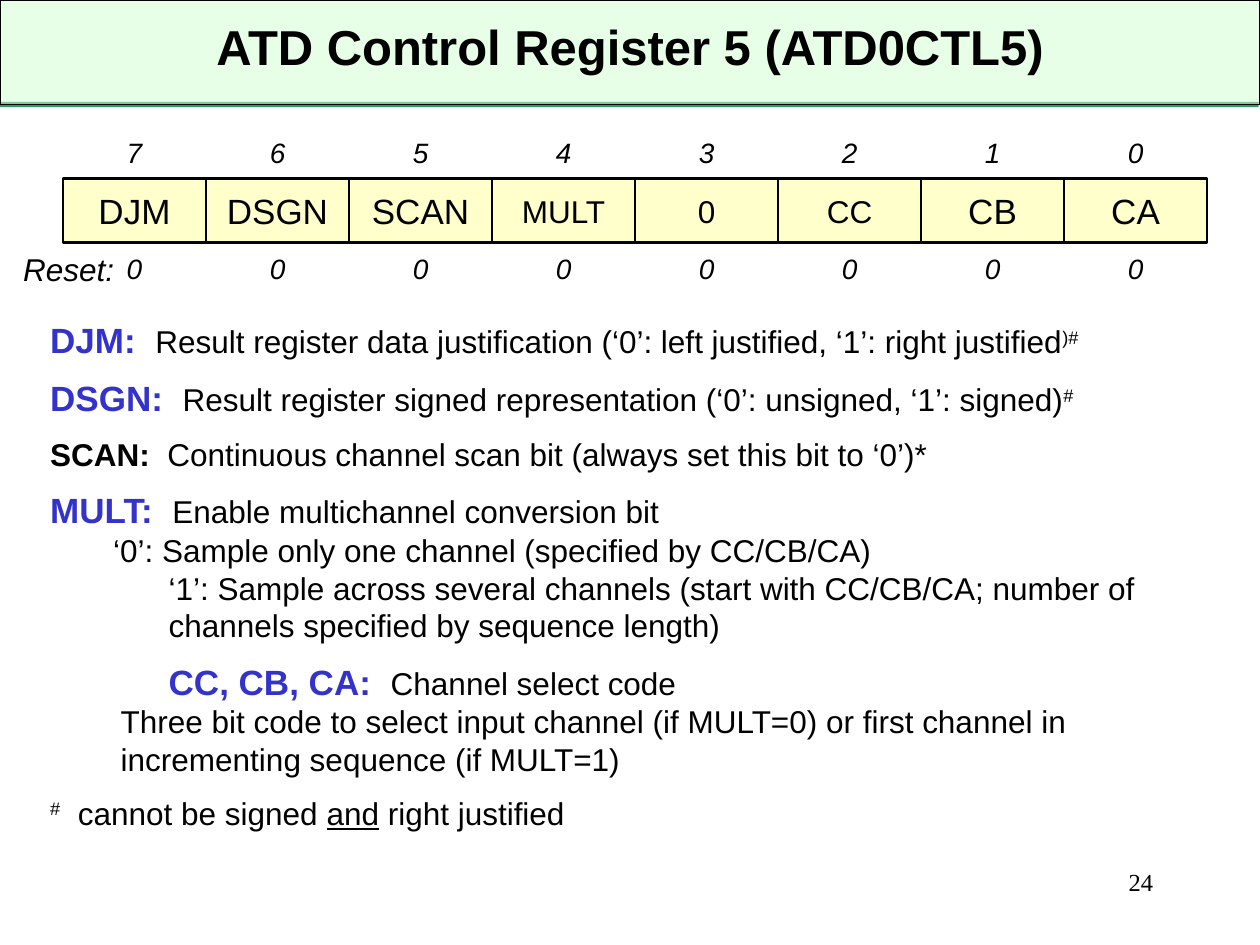
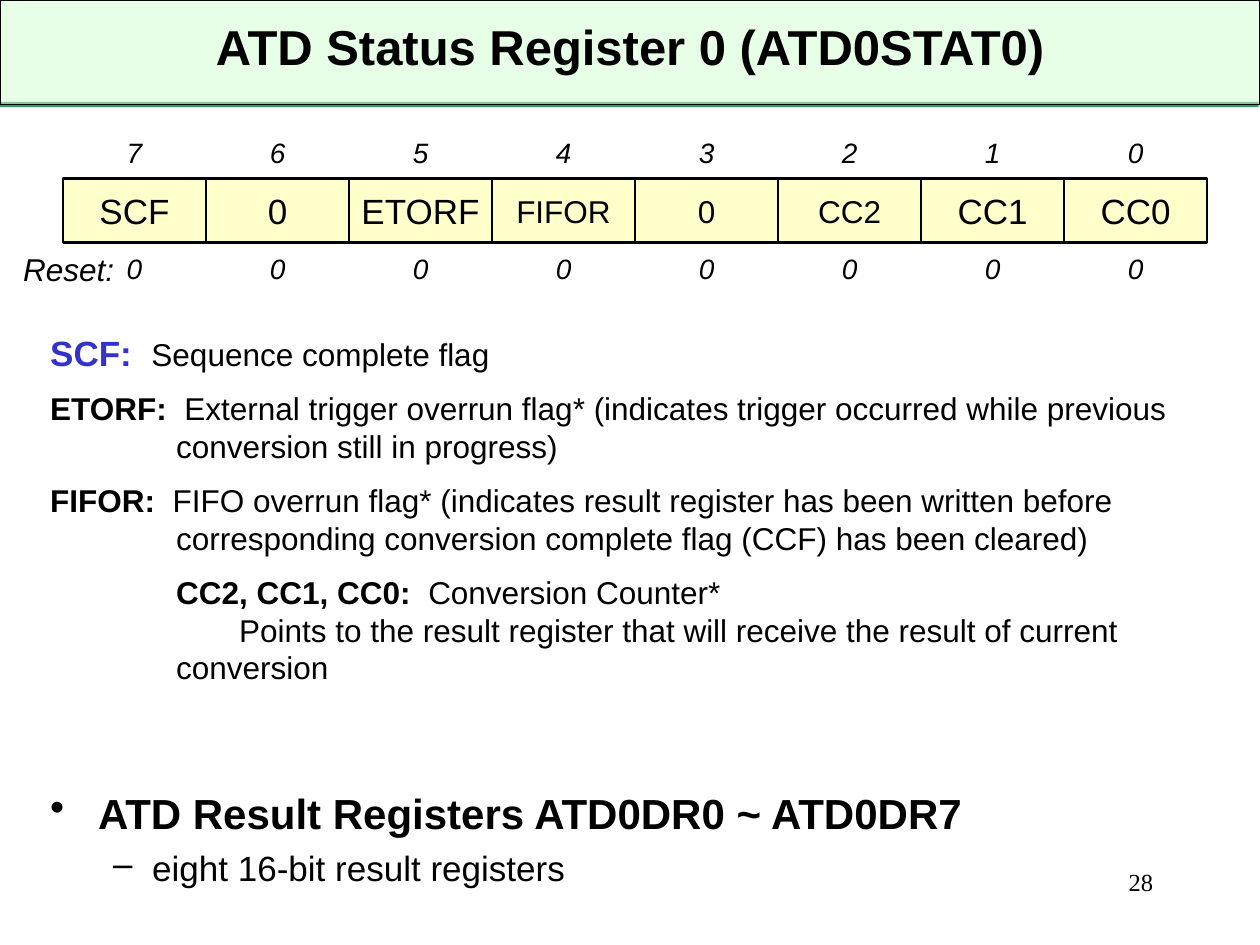
from dataclasses import dataclass

from lxml.etree import SubElement
from pptx import Presentation
from pptx.dml.color import RGBColor
from pptx.enum.shapes import MSO_SHAPE as Shape
from pptx.enum.text import MSO_ANCHOR as Anchor, PP_ALIGN as Align
from pptx.oxml.ns import qn
from pptx.util import Inches, Pt

BLACK = RGBColor(0x00, 0x00, 0x00)
BLUE = RGBColor(0x33, 0x33, 0xCC)
GREEN = RGBColor(0x33, 0x99, 0x66)
MINT = RGBColor(0xCC, 0xFF, 0xCC)
CREAM = RGBColor(0xFF, 0xFF, 0xCC)

SLIDE_WIDTH, SLIDE_HEIGHT = Inches(10), Inches(7.5)
COLUMNS, ROWS = 100, 75
GAP = 9.2  # points between body entries


@dataclass
class Box:
    """An area in columns and rows of the slide grid."""
    left: float
    top: float
    width: float
    height: float

    def emu(self):
        column, row = SLIDE_WIDTH / COLUMNS, SLIDE_HEIGHT / ROWS
        return (round(self.left * column), round(self.top * row),
                round(self.width * column), round(self.height * row))

    def inner(self, x, y, width, height):
        """An area given as shares of this one."""
        return Box(self.left + x * self.width, self.top + y * self.height,
                   width * self.width, height * self.height)


@dataclass
class Style:
    size: float = 18
    bold: bool = False
    color: RGBColor = BLACK
    underline: bool = False
    raised: bool = False


PLAIN = Style()
LABEL = Style(bold=True)
KEY = Style(20, bold=True, color=BLUE)
RAISED = Style(raised=True)
UNDERLINED = Style(underline=True)
HEADING = Style(24, bold=True)
SUBHEADING = Style(20)


@dataclass
class Entry:
    """A body paragraph; margin and indent are in inches, before is in points."""
    spans: list
    before: float = GAP
    margin: float = 0
    indent: float = 0
    bullet: str = ""


def add_rect(page, box, fill, line_width=0):
    rect = page.shapes.add_shape(Shape.RECTANGLE, *box.emu())
    rect.shadow.inherit = False
    rect.fill.solid()
    rect.fill.fore_color.rgb = fill
    if line_width:
        rect.line.color.rgb = BLACK
        rect.line.width = Pt(line_width)
    else:
        rect.line.fill.background()
    return rect


def add_text_box(page, box):
    text_box = page.shapes.add_textbox(*box.emu())
    text_box.text_frame.word_wrap = True
    return text_box


def write_line(shape, text, size, align=Align.CENTER, name="Arial", bold=False, italic=False):
    para = shape.text_frame.paragraphs[0]
    para.text = text
    para.alignment = align
    font = para.font
    font.name, font.size, font.bold, font.italic = name, Pt(size), bold, italic
    font.color.rgb = BLACK


def write_cell(shape, text, size, italic=False):
    frame = shape.text_frame
    frame.word_wrap = True
    frame.vertical_anchor = Anchor.MIDDLE
    frame.margin_left = frame.margin_right = 0
    write_line(shape, text, size, italic=italic)


def add_frame(page, title, number):
    """Title band and page number."""
    add_rect(page, Box(0, 8.1, 99.9, 0.4), GREEN)
    band = add_rect(page, Box(0, 0, 100, 8.3), MINT, 0.75)
    color = band._element.spPr.find(qn("a:solidFill"))[0]
    SubElement(color, qn("a:alpha"), val="49000")
    write_line(add_text_box(page, Box(5, 0.8, 90, 6.7)), title, 28, bold=True)
    write_line(add_text_box(page, Box(71.7, 68.3, 20.8, 5)), number, 14,
               Align.RIGHT, "Times New Roman")


def add_register(page, box, fields):
    """Bit numbers above, named fields, and reset values below."""
    share = 1 / len(fields)
    edge, middle = 0.31, 0.38
    for index, field in enumerate(fields):
        x = index * share
        cell = add_rect(page, box.inner(x, edge, share, middle), CREAM, 1.5)
        write_cell(cell, field, 18 if index in (3, 4, 5) else 20)
        bit = str(len(fields) - 1 - index)
        for y, digit in ((0, bit), (edge + middle, "0")):
            write_cell(add_text_box(page, box.inner(x, y, share, edge)), digit, 16, italic=True)
    reset = box.inner(-0.06, edge + middle, 0.13, edge)
    write_cell(add_text_box(page, reset), "Reset:", 18, italic=True)


def add_span(para, text, style):
    span = para.add_run()
    span.text = text
    font = span.font
    font.name, font.size, font.bold = "Arial", Pt(style.size), style.bold
    font.color.rgb = style.color
    if style.underline:
        font.underline = True
    if style.raised:
        span._r.get_or_add_rPr().set("baseline", "30000")


def add_body(page, box, entries):
    frame = add_text_box(page, box).text_frame
    for index, entry in enumerate(entries):
        para = frame.add_paragraph() if index else frame.paragraphs[0]
        para.space_before = Pt(entry.before if index else 0)
        properties = para._p.get_or_add_pPr()
        properties.set("marL", str(Inches(entry.margin)))
        properties.set("indent", str(Inches(entry.indent)))
        if entry.bullet:
            SubElement(properties, qn("a:buChar"), char=entry.bullet)
        for text, style in entry.spans:
            add_span(para, text, style)


def add_register_page(deck, title, number, fields, body_box, entries):
    page = deck.slides.add_slide(deck.slide_layouts[6])
    add_frame(page, title, number)
    add_body(page, body_box, entries)
    add_register(page, Box(5, 10, 90.8, 13.4), fields)


CONTROL_ENTRIES = [
    Entry([("DJM:  ", KEY),
           ("Result register data justification (‘0’: left justified, ‘1’: right justified", PLAIN),
           (")#", RAISED)]),
    Entry([("DSGN:  ", KEY),
           ("Result register signed representation (‘0’: unsigned, ‘1’: signed)", PLAIN),
           ("#", RAISED)]),
    Entry([("SCAN:  ", LABEL),
           ("Continuous channel scan bit (always set this bit to ‘0’)*", PLAIN)]),
    Entry([("MULT:  ", KEY), ("Enable multichannel conversion bit", PLAIN)]),
    Entry([("‘0’: Sample only one channel (specified by CC/CB/CA)", PLAIN)], 0, 0.5),
    Entry([("‘1’: Sample across several channels (start with CC/CB/CA; number of "
            "channels specified by sequence length)", PLAIN)], 0, 0.94),
    Entry([("CC, CB, CA:  ", KEY), ("Channel select code", PLAIN)], margin=0.94),
    Entry([("Three bit code to select input channel (if MULT=0) or first channel in "
            "incrementing sequence (if MULT=1)", PLAIN)], 0, 0.56),
    Entry([("#", RAISED), ("  cannot be signed ", PLAIN), ("and", UNDERLINED),
           (" right justified", PLAIN)]),
]

STATUS_ENTRIES = [
    Entry([("SCF:  ", KEY), ("Sequence complete flag", PLAIN)]),
    Entry([("ETORF:  ", LABEL),
           ("External trigger overrun flag* (indicates trigger occurred while previous "
            "conversion still in progress)", PLAIN)], margin=1, indent=-1),
    Entry([("FIFOR:  ", LABEL),
           ("FIFO overrun flag* (indicates result register has been written before "
            "corresponding conversion complete flag (CCF) has been cleared)", PLAIN)],
          margin=1, indent=-1),
    Entry([("CC2, CC1, CC0:  ", LABEL), ("Conversion Counter*", PLAIN)], margin=1),
    Entry([("Points to the result register that will receive the result of current "
            "conversion", PLAIN)], 0, 1, 0.5),
    Entry([("ATD Result Registers ATD0DR0 ~ ATD0DR7", HEADING)], 58, 0.38, -0.38, "•"),
    Entry([("eight 16-bit result registers", SUBHEADING)], 5, 0.81, -0.31, "–"),
]


def main():
    deck = Presentation()
    deck.slide_width, deck.slide_height = SLIDE_WIDTH, SLIDE_HEIGHT
    add_register_page(deck, "ATD Control Register 5 (ATD0CTL5)", "24",
                      ["DJM", "DSGN", "SCAN", "MULT", "0", "CC", "CB", "CA"],
                      Box(3, 24.8, 94.9, 47.1), CONTROL_ENTRIES)
    add_register_page(deck, "ATD Status Register 0 (ATD0STAT0)", "28",
                      ["SCF", "0", "ETORF", "FIFOR", "0", "CC2", "CC1", "CC0"],
                      Box(3, 25.8, 94.9, 45.9), STATUS_ENTRIES)
    deck.save("out.pptx")


if __name__ == "__main__":
    main()
